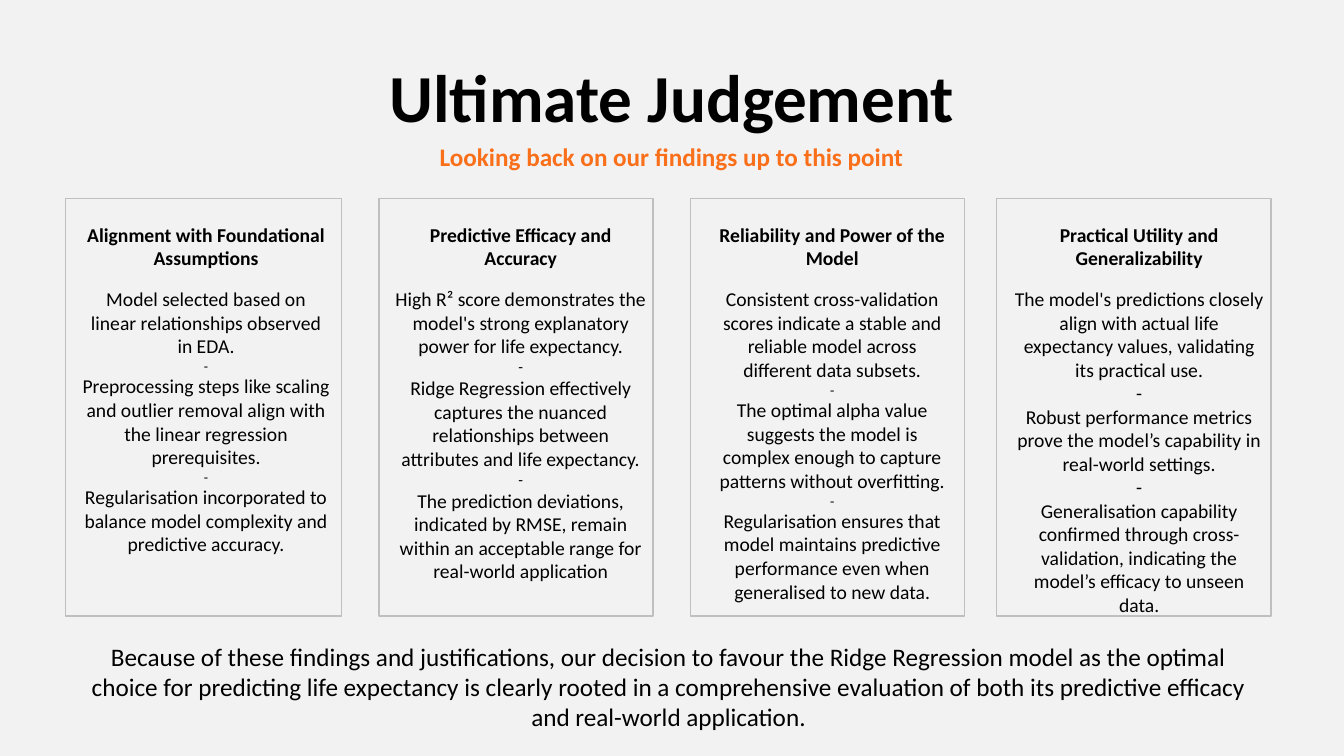
from dataclasses import dataclass

from pptx import Presentation
from pptx.dml.color import RGBColor
from pptx.enum.shapes import MSO_SHAPE
from pptx.enum.text import MSO_ANCHOR, PP_ALIGN
from pptx.util import Cm, Pt


@dataclass(frozen=True)
class Theme:
    font: str = "Calibri"
    background: RGBColor = RGBColor(0xF2, 0xF2, 0xF2)
    ink: RGBColor = RGBColor(0, 0, 0)
    accent: RGBColor = RGBColor(0xFA, 0x6F, 0x1A)
    frame: RGBColor = RGBColor(0xBF, 0xBF, 0xBF)
    title: int = 48
    lead: int = 18
    body: int = 14


@dataclass(frozen=True)
class Finding:
    frame_left: float
    frame_width: float
    text_left: float
    text_width: float
    dash_size: int
    heading: str
    points: tuple


THEME = Theme()
FRAME_TOP, FRAME_HEIGHT = 5.0, 10.52
TEXT_TOP, TEXT_HEIGHT = 5.49, 10.03
HEADING_GAP = 12.2

FINDINGS = (
    Finding(1.65, 6.96, 1.83, 6.48, 10, "Alignment with Foundational Assumptions", (
        "Model selected based on linear relationships observed in EDA.",
        "Preprocessing steps like scaling and outlier removal align with the linear "
        "regression prerequisites.",
        "Regularisation incorporated to balance model complexity and predictive accuracy.",
    )),
    Finding(9.55, 6.91, 9.7, 6.6, 11, "Predictive Efficacy and Accuracy", (
        "High R² score demonstrates the model's strong explanatory power for life expectancy.",
        "Ridge Regression effectively captures the nuanced relationships between "
        "attributes and life expectancy.",
        "The prediction deviations, indicated by RMSE, remain within an acceptable "
        "range for real-world application",
    )),
    Finding(17.4, 6.91, 17.7, 6.3, 10, "Reliability and Power of the Model", (
        "Consistent cross-validation scores indicate a stable and reliable model "
        "across different data subsets.",
        "The optimal alpha value suggests the model is complex enough to capture "
        "patterns without overfitting.",
        "Regularisation ensures that model maintains predictive performance even "
        "when generalised to new data.",
    )),
    Finding(25.12, 6.91, 25.27, 6.63, 14, "Practical Utility and Generalizability", (
        "The model's predictions closely align with actual life expectancy values, "
        "validating its practical use.",
        "Robust performance metrics prove the model’s capability in real-world settings.",
        "Generalisation capability confirmed through cross-validation, indicating "
        "the model’s efficacy to unseen data.",
    )),
)
CONCLUSION = (
    "Because of these findings and justifications, our decision to favour the Ridge "
    "Regression model as the optimal choice for predicting life expectancy is clearly "
    "rooted in a comprehensive evaluation of both its predictive efficacy and "
    "real-world application."
)


def add_text_frame(slide, left, top, width, height):
    frame = slide.shapes.add_textbox(Cm(left), Cm(top), Cm(width), Cm(height)).text_frame
    frame.word_wrap = True
    return frame


def write(paragraph, text, size, bold=False, color=THEME.ink):
    paragraph.text = text
    paragraph.alignment = PP_ALIGN.CENTER
    paragraph.font.name = THEME.font
    paragraph.font.size = Pt(size)
    paragraph.font.bold = bold
    paragraph.font.color.rgb = color


def add_frame(slide, finding):
    outline = slide.shapes.add_shape(
        MSO_SHAPE.RECTANGLE, Cm(finding.frame_left), Cm(FRAME_TOP),
        Cm(finding.frame_width), Cm(FRAME_HEIGHT))
    outline.shadow.inherit = False
    outline.fill.background()
    outline.line.color.rgb = THEME.frame
    outline.line.width = Pt(1)


def add_finding(slide, finding):
    add_frame(slide, finding)
    column = add_text_frame(slide, finding.text_left, TEXT_TOP, finding.text_width, TEXT_HEIGHT)
    column.margin_right = 0
    heading = column.paragraphs[0]
    write(heading, finding.heading, THEME.body, bold=True)
    heading.space_after = Pt(HEADING_GAP)
    # A dash separates each point from the one before
    for index, point in enumerate(finding.points):
        if index:
            write(column.add_paragraph(), "-", finding.dash_size)
        write(column.add_paragraph(), point, THEME.body)


def main():
    deck = Presentation()
    deck.slide_width, deck.slide_height = Cm(33.87), Cm(19.05)
    slide = deck.slides.add_slide(deck.slide_layouts[6])
    slide.background.fill.solid()
    slide.background.fill.fore_color.rgb = THEME.background

    # Title and subtitle
    title = add_text_frame(slide, 1.19, 1.55, 31.5, 1.96)
    title.vertical_anchor = MSO_ANCHOR.MIDDLE
    write(title.paragraphs[0], "Ultimate Judgement", THEME.title, bold=True)
    subtitle = add_text_frame(slide, 9.19, 3.51, 15.47, 0.94)
    write(subtitle.paragraphs[0], "Looking back on our findings up to this point",
          THEME.lead, bold=True, color=THEME.accent)
    for heading in (title, subtitle):
        heading.paragraphs[0].line_spacing = 0.9

    # Four framed findings
    for finding in FINDINGS:
        add_finding(slide, finding)

    # Conclusion
    conclusion = add_text_frame(slide, 1.65, 16.03, 30.4, 2.57)
    write(conclusion.paragraphs[0], CONCLUSION, THEME.lead)

    deck.save("out.pptx")


if __name__ == "__main__":
    main()
